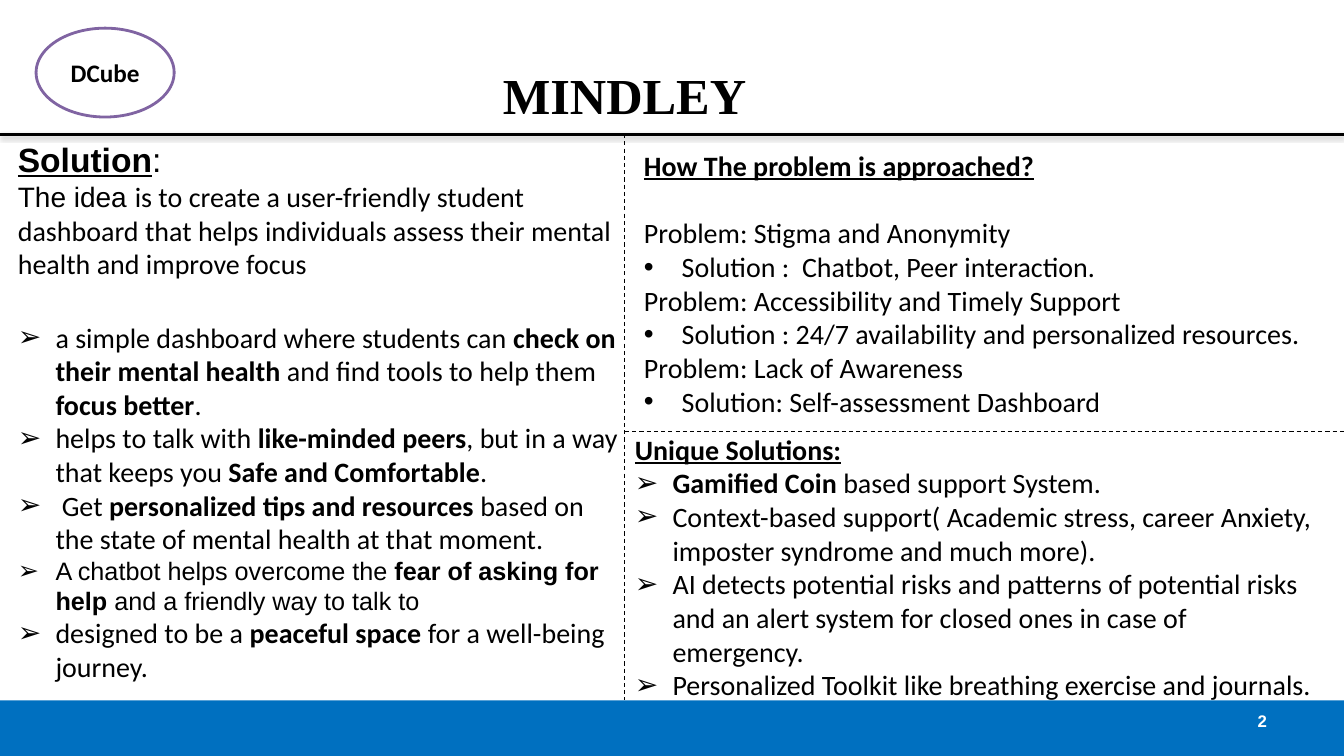
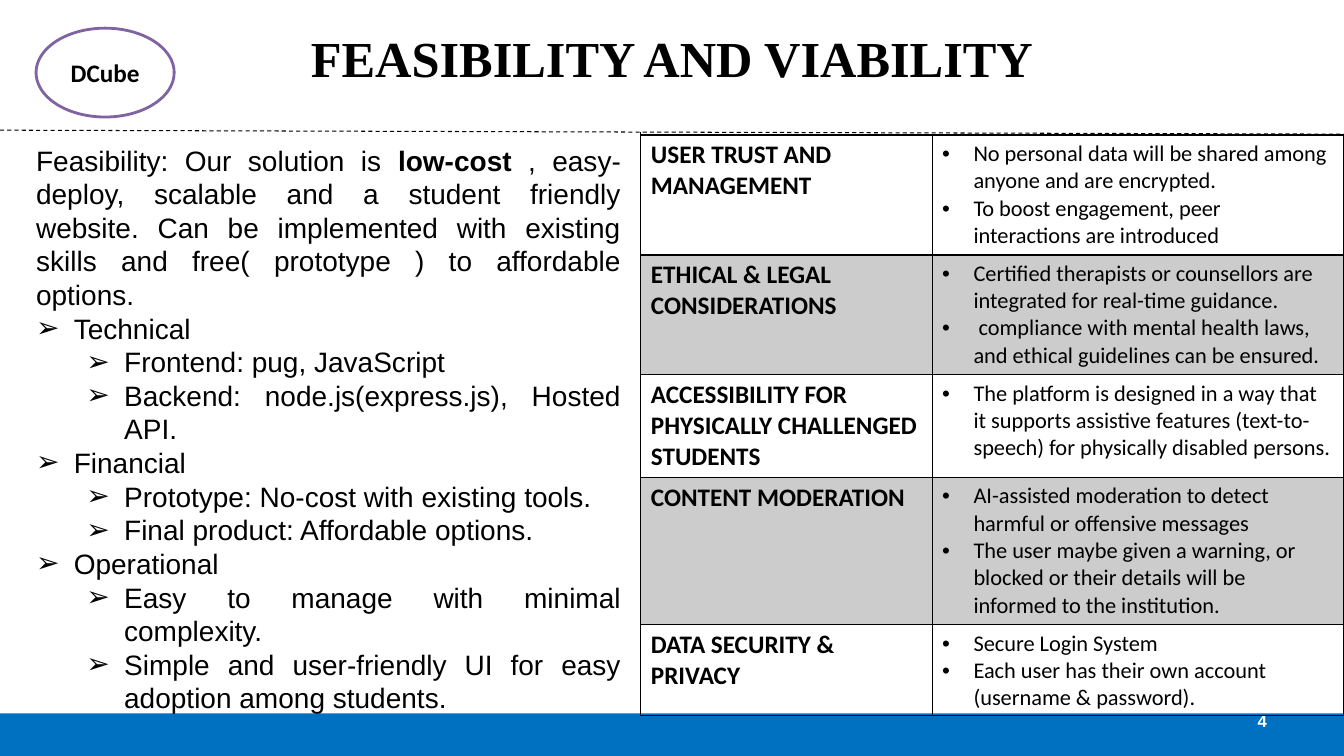
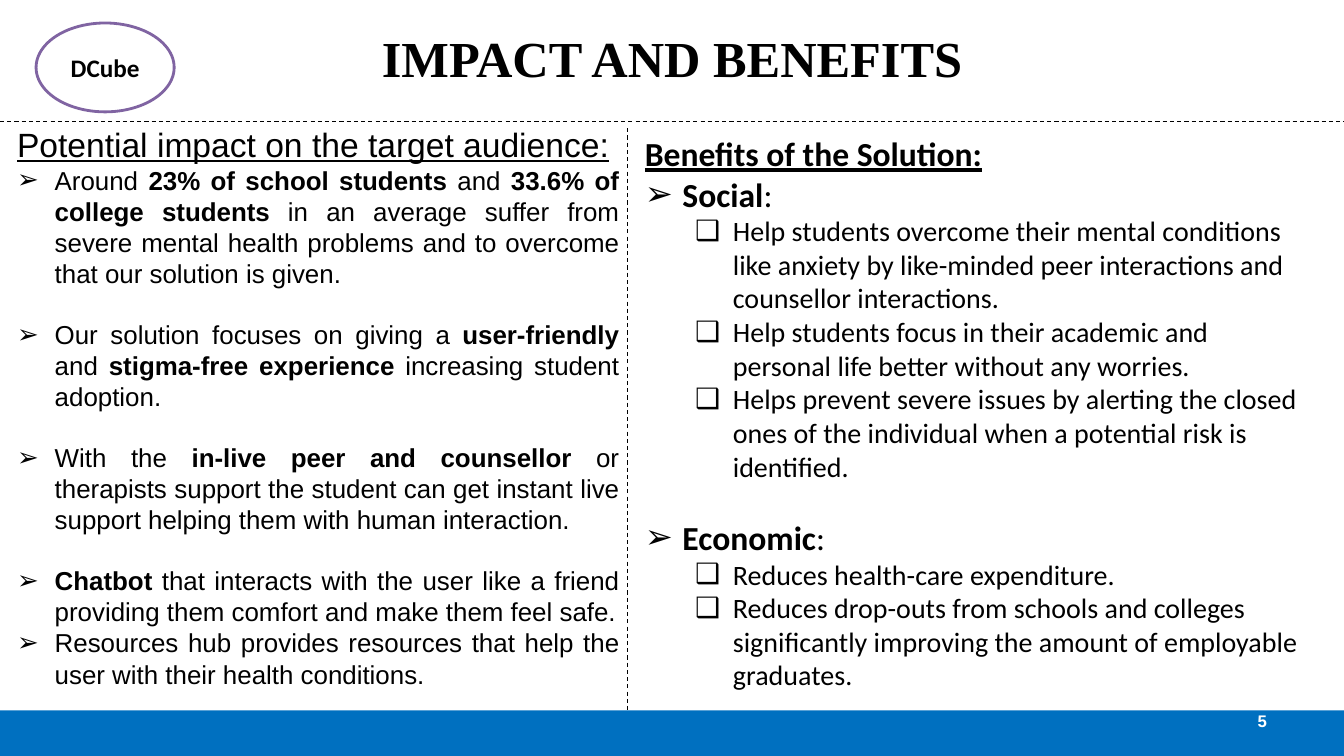
import dataclasses

import lxml.etree
import pptx
import pptx.dml.color
import pptx.enum.dml
import pptx.enum.shapes
import pptx.enum.text
import pptx.oxml
import pptx.oxml.ns
import pptx.util

Cm = pptx.util.Cm
Pt = pptx.util.Pt
RGB = pptx.dml.color.RGBColor
qn = pptx.oxml.ns.qn
ALIGN = pptx.enum.text.PP_ALIGN
ANCHOR = pptx.enum.text.MSO_ANCHOR
SHAPE = pptx.enum.shapes.MSO_SHAPE


@dataclasses.dataclass(frozen=True)
class Theme:
    black: RGB = RGB(0x00, 0x00, 0x00)
    white: RGB = RGB(0xFF, 0xFF, 0xFF)
    blue: RGB = RGB(0x00, 0x70, 0xC0)
    purple: RGB = RGB(0x80, 0x64, 0xA2)
    grey: RGB = RGB(0xCC, 0xCC, 0xCC)
    serif: str = "Times New Roman"
    sans: str = "Arial"
    body: str = "Calibri"
    title_size: float = 36
    heading_size: float = 24
    text_size: float = 20
    impact_size: float = 18.5
    label_size: float = 18
    cell_size: float = 16
    number_size: float = 12


theme = Theme()
WIDTH, HEIGHT = 33.87, 19.05


def add_text(frame, text, *, size=theme.text_size, font=theme.body, bold=False, underline=False,
             color=theme.black, align=ALIGN.LEFT, bullet=None, level=0, hang=0.95, before=0, joined=False):
    para = frame.paragraphs[-1]
    if para.runs and not joined:
        para = frame.add_paragraph()
    if not joined:
        para.alignment = align
        para.level = level
        para.space_before = Pt(before)
        if bullet:
            props = para._p.get_or_add_pPr()
            props.set("marL", str(Cm(hang + 1.27 * level)))
            props.set("indent", str(-Cm(hang)))
            lxml.etree.SubElement(props, qn("a:buFont"), typeface=theme.sans)
            lxml.etree.SubElement(props, qn("a:buChar"), char=bullet)
    for index, part in enumerate(text.split("**")):
        if part:
            span = para.add_run()
            span.text = part
            span.font.size = Pt(size)
            span.font.name = font
            span.font.bold = bold or index % 2 == 1
            span.font.underline = underline
            span.font.color.rgb = color


def add_line(page, start, end, *, width=0.75, dashed=True):
    line = page.shapes.add_connector(pptx.enum.shapes.MSO_CONNECTOR.STRAIGHT, *map(Cm, start + end))
    line.line.color.rgb = theme.black
    line.line.width = Pt(width)
    effects = lxml.etree.SubElement(line._element.spPr, qn("a:effectLst"))
    if dashed:
        line.line.dash_style = pptx.enum.dml.MSO_LINE.DASH
    else:
        shadow = lxml.etree.SubElement(effects, qn("a:outerShdw"), blurRad=str(Pt(3.1)), dist=str(Pt(1.6)),
                                       dir="5400000", rotWithShape="0")
        tint = lxml.etree.SubElement(shadow, qn("a:srgbClr"), val=str(theme.black))
        lxml.etree.SubElement(tint, qn("a:alpha"), val="38000")


arrow = dict(bullet="➢")
dot = dict(bullet="•")
square = dict(bullet="❑", level=1)
heading = dict(bold=True, underline=True)
feasible = dict(font=theme.sans, align=ALIGN.JUSTIFY)
feasible_item = feasible | arrow
feasible_detail = feasible_item | dict(level=1)
impact = feasible_item | dict(size=theme.impact_size)
impact_spaced = impact | dict(before=21.3)
benefit = arrow | dict(size=theme.heading_size)

solution_texts = [
    ("Solution", heading | dict(size=theme.heading_size, font=theme.sans)),
    (":", dict(size=theme.heading_size, font=theme.sans, joined=True)),
    ("The idea ", dict(font=theme.sans)),
    ("is to create a user-friendly student dashboard that helps individuals assess their mental health "
     "and improve focus", dict(joined=True)),
    ("a simple dashboard where students can **check on their mental health** and find tools to help them "
     "**focus better**.", arrow | dict(before=28.5)),
    ("helps to talk with **like-minded peers**, but in a way that keeps you **Safe and Comfortable**.", arrow),
    (" Get **personalized tips and resources **based on the state of mental health at that moment.", arrow),
    ("A chatbot helps overcome the **fear of asking for help** and a friendly way to talk to",
     arrow | dict(size=theme.label_size, font=theme.sans)),
    ("designed to be a **peaceful space **for a well-being journey.", arrow),
]
approach_texts = [
    ("How The problem is approached?", heading),
    ("Problem: Stigma and Anonymity", dict(before=24.4)),
    ("Solution :  Chatbot, Peer interaction.", dot),
    ("Problem: Accessibility and Timely Support", {}),
    ("Solution : 24/7 availability and personalized resources.", dot),
    ("Problem: Lack of Awareness", {}),
    ("Solution: Self-assessment Dashboard", dot),
]
unique_texts = [
    ("Unique Solutions:", heading),
    ("**Gamified Coin **based support System.", arrow),
    ("Context-based support( Academic stress, career Anxiety, imposter syndrome and much more).", arrow),
    ("AI detects potential risks and patterns of potential risks and an alert system for closed ones in case "
     "of emergency.", arrow),
    ("Personalized Toolkit like breathing exercise and journals.", arrow),
]
feasibility_texts = [
    ("Feasibility: Our solution is **low-cost** , easy-deploy, scalable and a student friendly website. "
     "Can be implemented with existing skills and free( prototype ) to affordable options.", feasible),
    ("Technical", feasible_item),
    ("Frontend: pug, JavaScript", feasible_detail),
    ("Backend: node.js(express.js), Hosted API.", feasible_detail),
    ("Financial", feasible_item),
    ("Prototype: No-cost with existing tools.", feasible_detail),
    ("Final product: Affordable options.", feasible_detail),
    ("Operational", feasible_item),
    ("Easy to manage with minimal complexity.", feasible_detail),
    ("Simple and user-friendly UI for easy adoption among students.", feasible_detail),
]
impact_texts = [
    ("Potential impact on the target audience:",
     feasible | dict(size=theme.heading_size, underline=True)),
    ("Around **23% of school students **and **33.6% of college students** in an average suffer from severe "
     "mental health problems and to overcome that our solution is given.", impact),
    ("Our solution focuses on giving a **user-friendly** and **stigma-free experience** increasing student "
     "adoption.", impact_spaced),
    ("With the **in-live peer and counsellor **or therapists support the student can get instant live support "
     "helping them with human interaction.", impact_spaced),
    ("**Chatbot** that interacts with the user like a friend providing them comfort and make them feel safe.",
     impact_spaced),
    ("Resources hub provides resources that help the user with their health conditions.", impact),
]
benefit_texts = [
    ("Benefits of the Solution:", heading | dict(size=theme.heading_size)),
    ("**Social**:", benefit),
    ("Help students overcome their mental conditions like anxiety by like-minded peer interactions and "
     "counsellor interactions.", square),
    ("Help students focus in their academic and personal life better without any worries.", square),
    ("Helps prevent severe issues by alerting the closed ones of the individual when a potential risk is "
     "identified.", square),
    ("**Economic**:", benefit | dict(before=24.4)),
    ("Reduces health-care expenditure.", square),
    ("Reduces drop-outs from schools and colleges significantly improving the amount of employable graduates.",
     square),
]
table_rows = [
    (3.02, "USER TRUST AND MANAGEMENT",
     ["No personal data will be shared among anyone and are encrypted.",
      "To boost engagement, peer interactions are introduced"]),
    (3.02, "ETHICAL & LEGAL CONSIDERATIONS",
     ["Certified therapists or counsellors are integrated for real-time guidance.",
      " compliance with mental health laws, and ethical guidelines can be ensured."]),
    (2.59, "ACCESSIBILITY FOR PHYSICALLY CHALLENGED STUDENTS",
     ["The platform is designed in a way that it supports assistive features (text-to-speech) for physically "
      "disabled persons."]),
    (3.71, "CONTENT MODERATION",
     ["AI-assisted moderation to detect harmful or offensive messages",
      "The user maybe given a warning, or blocked or their details will be informed to the institution."]),
    (2.01, "DATA SECURITY & PRIVACY",
     ["Secure Login System", "Each user has their own account (username & password)."]),
]

pages = [
    dict(title="MINDLEY", title_at=(0.5, 0), anchor=ANCHOR.BOTTOM, number="2", band=17.65, badge=0.71,
         boxes=[((0.2, 3.38, 15.75, 14.96), solution_texts),
                ((15.98, 3.61, 17.7, 7.87), approach_texts),
                ((15.75, 10.77, 17.7, 8.28), unique_texts)],
         lines=[((0, 3.38), (WIDTH, 3.38), dict(width=2, dashed=False)),
                ((15.75, 3.38), (15.75, 17.65), {}),
                ((15.75, 10.87), (WIDTH, 10.87), {})]),
    dict(title="FEASIBILITY AND VIABILITY", title_at=(1.7, -0.13), anchor=ANCHOR.MIDDLE, number="4",
         band=17.98, badge=0.71,
         boxes=[((0.66, 3.48, 15.24, 15.14), feasibility_texts)],
         lines=[((0, 3.28), (WIDTH, 3.38), {}),
                ((16.15, 3.33), (16.15, 17.65), {})]),
    dict(title="IMPACT AND BENEFITS", title_at=(1.7, -0.13), anchor=ANCHOR.MIDDLE, number="5",
         band=17.9, badge=0.58,
         boxes=[((0.18, 3, 15.67, 16.05), impact_texts),
                ((16, 3.23, 17.25, 15.47), benefit_texts)],
         lines=[((0, 3.05), (WIDTH, 3.05), {}),
                ((15.82, 3.23), (15.82, 17.9), {})]),
]

deck = pptx.Presentation()
deck.slide_width = Cm(WIDTH)
deck.slide_height = Cm(HEIGHT)

for content in pages:
    page = deck.slides.add_slide(deck.slide_layouts[6])

    band = page.shapes.add_shape(SHAPE.RECTANGLE, 0, Cm(content["band"]), Cm(WIDTH), Cm(HEIGHT - content["band"]))
    band.shadow.inherit = False
    band.fill.solid()
    band.fill.fore_color.rgb = theme.blue
    band.line.fill.background()

    left, top = content["title_at"]
    title = page.shapes.add_textbox(Cm(left), Cm(top), Cm(30.48), Cm(3.18)).text_frame
    title.word_wrap = True
    title.vertical_anchor = content["anchor"]
    title.margin_bottom = Cm(0.05) if content["anchor"] == ANCHOR.BOTTOM else Cm(0.13)
    add_text(title, content["title"], size=theme.title_size, font=theme.serif, bold=True, align=ALIGN.CENTER)

    number = page.shapes.add_textbox(Cm(24.28), Cm(17.65), Cm(7.9), Cm(1.02)).text_frame
    number.word_wrap = True
    number.vertical_anchor = ANCHOR.MIDDLE
    add_text(number, content["number"], size=theme.number_size, font=theme.sans, bold=True,
             color=theme.white, align=ALIGN.RIGHT)

    badge = page.shapes.add_shape(SHAPE.OVAL, Cm(0.91), Cm(content["badge"]), Cm(3.48), Cm(2.24))
    badge.shadow.inherit = False
    badge.fill.solid()
    badge.fill.fore_color.rgb = theme.white
    badge.line.color.rgb = theme.purple
    badge.line.width = Pt(2)
    badge.text_frame.vertical_anchor = ANCHOR.MIDDLE
    add_text(badge.text_frame, "DCube", size=theme.label_size, bold=True, align=ALIGN.CENTER)

    for start, end, style in content["lines"]:
        add_line(page, start, end, **style)

    for place, texts in content["boxes"]:
        frame = page.shapes.add_textbox(*map(Cm, place)).text_frame
        frame.word_wrap = True
        for text, style in texts:
            add_text(frame, text, **style)

table_height = sum(height for height, label, points in table_rows)
table = deck.slides[1].shapes.add_table(len(table_rows), 2, Cm(16.15), Cm(3.4), Cm(17.7), Cm(table_height)).table
table.first_row = False
table.horz_banding = False
for column, width in zip(table.columns, (7.34, 10.36)):
    column.width = Cm(width)

for row_index, (height, label, points) in enumerate(table_rows):
    table.rows[row_index].height = Cm(height)
    label_cell, points_cell = table.rows[row_index].cells
    add_text(label_cell.text_frame, label, size=theme.label_size, bold=True)
    for point in points:
        add_text(points_cell.text_frame, point, size=theme.cell_size, hang=0.79, **dot)
    for cell in (label_cell, points_cell):
        props = cell._tc.get_or_add_tcPr()
        for side in ("lnL", "lnR", "lnT", "lnB"):
            weight = 2 if row_index == 0 and side == "lnB" else 1
            border = lxml.etree.SubElement(props, qn("a:" + side), w=str(Pt(weight)))
            paint = lxml.etree.SubElement(border, qn("a:solidFill"))
            lxml.etree.SubElement(paint, qn("a:srgbClr"), val=str(theme.black))
        if row_index % 2:
            cell.fill.solid()
            cell.fill.fore_color.rgb = theme.grey
        else:
            cell.fill.background()

deck.save("out.pptx")
